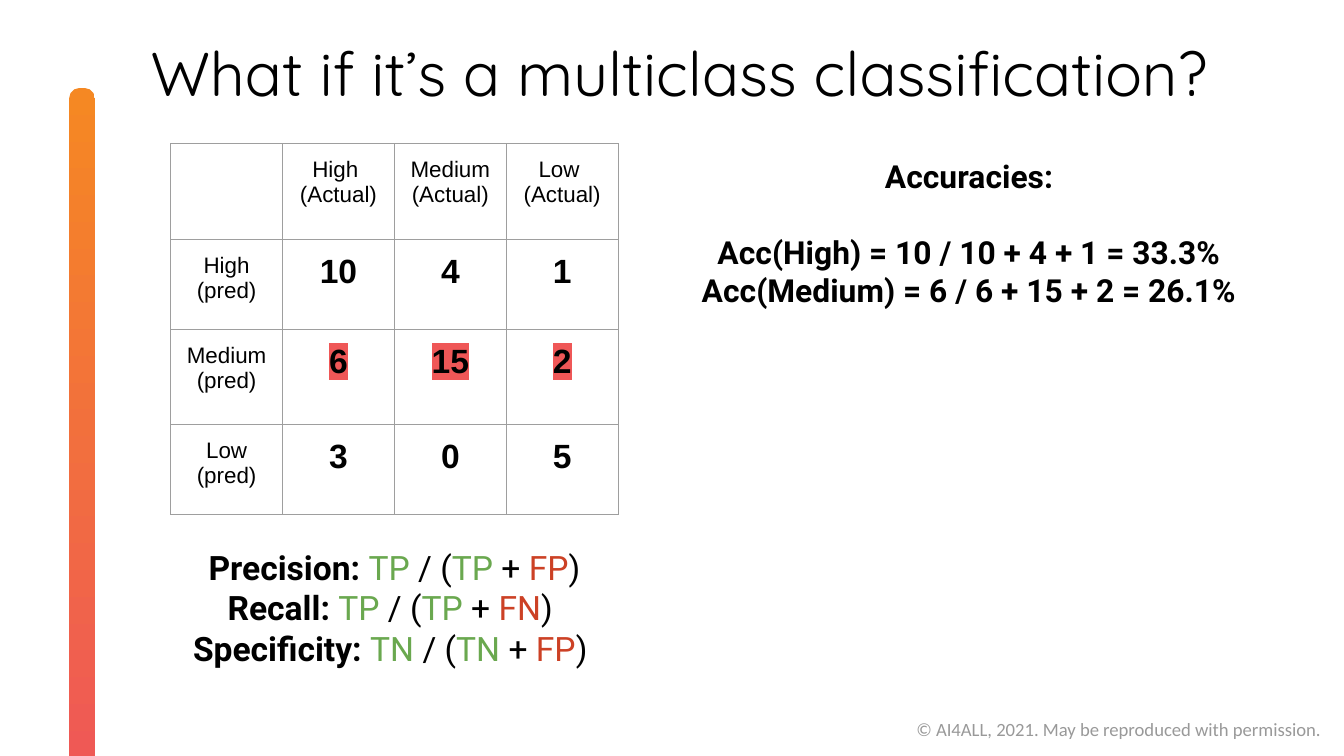
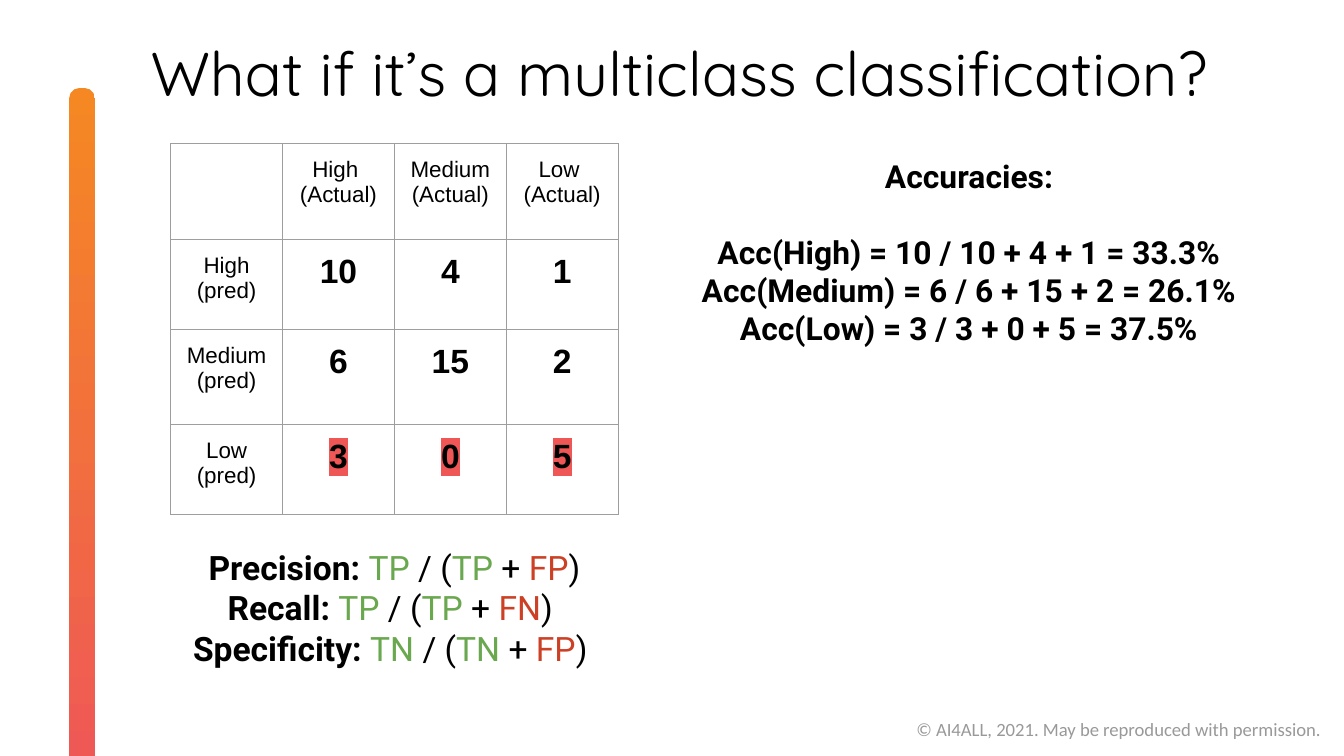
"""Build two slides on accuracy in a multiclass confusion matrix."""
from lxml.etree import SubElement
from pptx import Presentation
from pptx.dml.color import RGBColor
from pptx.enum.shapes import MSO_SHAPE
from pptx.enum.text import MSO_ANCHOR, MSO_AUTO_SIZE, PP_ALIGN
from pptx.oxml.ns import qn
from pptx.util import Inches, Pt

TITLE = "What if it’s a multiclass classification?"
FOOTER = "© AI4ALL, 2021. May be reproduced with permission."
HEADS = ["", "High \n(Actual)", "Medium (Actual)", "Low \n(Actual)"]
ROWS = [
    ("High (pred)", 10, 4, 1),
    ("Medium (pred)", 6, 15, 2),
    ("Low (pred)", 3, 0, 5),
]
RATES = [
    ("Precision: ", "TP", "FP", ")"),
    ("Recall: ", "TP", "FN", ") "),
    ("Specificity: ", "TN", "FP", ") "),
]
SCORES = [
    "Acc(High) = 10 / 10 + 4 + 1 = 33.3%",
    "Acc(Medium) = 6 / 6 + 15 + 2 = 26.1%",
    "Acc(Low) = 3 / 3 + 0 + 5 = 37.5%",
]
SLIDES = [
    {"mark": 2, "scores": 2},
    {"mark": 3, "scores": 3},
]

BLACK = RGBColor(0x00, 0x00, 0x00)
GREY = RGBColor(0x99, 0x99, 0x99)
RULE = RGBColor(0x9E, 0x9E, 0x9E)
GREEN = RGBColor(0x6A, 0xA8, 0x4F)
RED = RGBColor(0xCC, 0x41, 0x25)
AMBER = RGBColor(0xF5, 0x88, 0x23)
CORAL = RGBColor(0xEF, 0x57, 0x57)

UNIT = Inches(0.1)
WIDE, HIGH = 100, 56.25
LEFT, SPAN = 12.7, 33.3
TALL, SHORT = 7.1, 6.7
CENTER = PP_ALIGN.CENTER


def grid(*sizes):
    """Turn grid units into lengths."""
    return [round(size * UNIT) for size in sizes]


def write(frame, lines, font="Arial", size=12, color=BLACK, bold=False,
          align=PP_ALIGN.LEFT, pad=(0, 0), gap=0, mark=None):
    """Fill a frame with lines, each a string or a list of (text, changes)."""
    frame.word_wrap = True
    frame.margin_left = frame.margin_right = round(pad[0] * UNIT)
    frame.margin_top = frame.margin_bottom = round(pad[1] * UNIT)
    for num, line in enumerate(lines):
        para = frame.add_paragraph() if num else frame.paragraphs[0]
        para.alignment = align
        if num == 1 and gap:
            para.space_before = Pt(gap)
        for text, diff in [(line, {})] if isinstance(line, str) else line:
            run = para.add_run()
            run.text = text
            run.font.size = Pt(size)
            run.font.bold = diff.get("bold", bold)
            run.font.color.rgb = diff.get("color", color)
            run.font.name = font
            if mark:
                props = run.font._element
                light = SubElement(props, qn("a:highlight"))
                SubElement(light, qn("a:srgbClr"), val=str(mark))
                props.find(qn("a:latin")).addprevious(light)


def label(slide, place, lines, **form):
    """Add a text box."""
    write(slide.shapes.add_textbox(*grid(*place)).text_frame, lines, **form)


def edge(cell):
    """Draw the four borders of a cell and clear its fill."""
    props = cell._tc.get_or_add_tcPr()
    for side in ("lnL", "lnR", "lnT", "lnB"):
        line = SubElement(props, qn("a:" + side), w=str(Pt(0.75)))
        fill = SubElement(line, qn("a:solidFill"))
        SubElement(fill, qn("a:srgbClr"), val=str(RULE))
    cell.fill.background()


def base(deck):
    """Add a slide with the title, side band and footer."""
    slide = deck.slides.add_slide(deck.slide_layouts[5])
    label(slide, (67.2, 52.9, 32.4, 2.7), [FOOTER], font="Calibri", size=10,
          color=GREY, pad=(1, 0.5))
    band = slide.shapes.add_shape(MSO_SHAPE.ROUNDED_RECTANGLE,
                                  *grid(-19.8, 31.5, 51.8, 1.9))
    band.rotation = 90
    band.adjustments[0] = 0.39
    band.shadow.inherit = False
    band.line.fill.background()
    band.fill.gradient()
    band.fill.gradient_angle = 0
    for stop, color in zip(band.fill.gradient_stops, (AMBER, CORAL)):
        stop.color.rgb = color
    title = slide.shapes.title
    title.left, title.top, title.width, title.height = grid(11.2, 2.6, 84, 6.4)
    frame = title.text_frame
    frame.auto_size = MSO_AUTO_SIZE.NONE
    frame.vertical_anchor = MSO_ANCHOR.TOP
    write(frame, [TITLE], font="Quicksand", size=33)
    return slide


def matrix(slide, mark):
    """Add the confusion matrix with one marked row."""
    rows = [HEADS, *ROWS]
    place = grid(LEFT, 10.7, SPAN, 2 * (TALL + SHORT))
    table = slide.shapes.add_table(len(rows), len(HEADS), *place).table
    table.first_row = table.horz_banding = False
    for col in table.columns:
        col.width = round(SPAN * UNIT / len(HEADS))
    for i, row in enumerate(rows):
        table.rows[i].height = grid(TALL, SHORT)[i % 2]
        for j, item in enumerate(row):
            cell = table.cell(i, j)
            edge(cell)
            count = isinstance(item, int)
            cell.margin_left = cell.margin_right = UNIT
            cell.margin_top = cell.margin_bottom = UNIT
            if item != "":
                write(cell.text_frame, str(item).split("\n"), align=CENTER,
                      size=18 if count else 12, bold=count, pad=(1, 1),
                      mark=CORAL if count and i == mark else None)


def rate(name, hit, miss, tail):
    """Return the runs of one formula."""
    good, bad = {"color": GREEN}, {"color": RED}
    return [(name, {"bold": True}), (hit, good), (" / (", {}), (hit, good),
            (" + ", {}), (miss, bad), (tail, {})]


def main():
    """Build and save the deck."""
    deck = Presentation()
    deck.slide_width, deck.slide_height = grid(WIDE, HIGH)
    for plan in SLIDES:
        slide = base(deck)
        label(slide, (LEFT, 40.7, SPAN, 12.1), [rate(*row) for row in RATES],
              font="Roboto", size=18, align=CENTER)
        matrix(slide, plan["mark"])
        label(slide, (50.5, 11.7, 43.2, 37.7),
              ["Accuracies:", *SCORES[:plan["scores"]]],
              font="Roboto", size=17, bold=True, align=CENTER, gap=20)
    deck.save("out.pptx")


if __name__ == "__main__":
    main()
